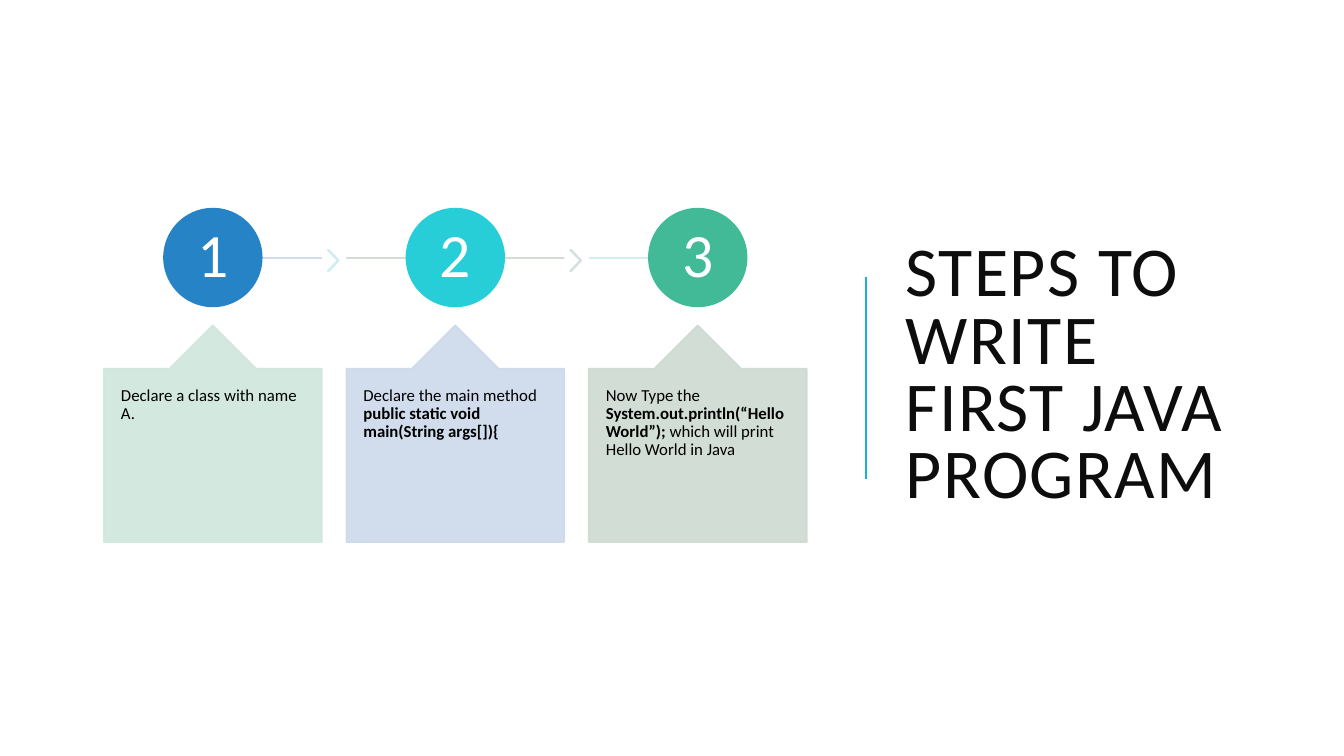
from dataclasses import dataclass

from lxml import etree
from pptx import Presentation
from pptx.dml.color import RGBColor
from pptx.enum.shapes import MSO_CONNECTOR, MSO_SHAPE
from pptx.enum.text import MSO_ANCHOR, PP_ALIGN
from pptx.oxml.ns import qn
from pptx.shapes.autoshape import Shape
from pptx.shapes.connector import Connector
from pptx.slide import Slide
from pptx.text.text import TextFrame
from pptx.util import Cm, Pt

CHEVRON = MSO_SHAPE.CHEVRON
CIRCLE = MSO_SHAPE.OVAL
CALLOUT = MSO_SHAPE.UP_ARROW_CALLOUT
STRAIGHT = MSO_CONNECTOR.STRAIGHT
TOP, MIDDLE = MSO_ANCHOR.TOP, MSO_ANCHOR.MIDDLE
LEFT, CENTER = PP_ALIGN.LEFT, PP_ALIGN.CENTER


@dataclass(frozen=True)
class Theme:
    font: str = "Calibri"
    title_size: float = 50
    number_size: float = 44
    body_size: float = 12
    title_ink: str = "0D0D0D"
    body_ink: str = "000000"
    number_ink: str = "FFFFFF"
    accent: str = "1CADE4"
    tint_opacity: int = 90
    outline: float = 1.25
    divider: float = 1.5


@dataclass(frozen=True)
class Span:
    text: str
    bold: bool = False


@dataclass(frozen=True)
class Box:
    """Position and size in centimetres."""
    left: float
    top: float
    width: float
    height: float


@dataclass(frozen=True)
class Step:
    circle: str
    callout: str
    track: str
    chevron: str | None
    spans: tuple[Span, ...]


THEME = Theme()
FIRST_LEFT, PITCH, COLUMN_WIDTH = 2.62, 6.11, 5.49
CIRCLE_TOP, CIRCLE_SIZE = 5.26, 2.46
TRACK_Y = 6.5
CALLOUT_TOP, CALLOUT_HEIGHT = 8.2, 5.46
CHEVRON_OFFSET = 5.64

STEPS = (
    Step("2683C6", "CFE7DD", "CDD9EA", "CDEDF0",
         (Span("Declare a class with name A."),)),
    Step("27CED7", "CDD9EA", "CEDAD1", "D3E0DF",
         (Span("Declare the main method "),
          Span("public static void main(String args[]){", True))),
    Step("42BA97", "CEDAD1", "CDEDF0", None,
         (Span("Now Type the "),
          Span("System.out.println(“Hello World”);", True),
          Span(" which will print Hello World in Java"))),
)


def set_opacity(shape: Shape | Connector, percent: int) -> None:
    """Apply one opacity to every solid colour of the shape's fill and line."""
    for color in shape._element.spPr.iter(qn("a:srgbClr")):
        etree.SubElement(color, qn("a:alpha"), val=str(percent * 1000))


def add_filled(page: Slide, kind: MSO_SHAPE, box: Box, color: str,
               opacity: int = 100, adjustments: tuple[float, ...] = ()) -> Shape:
    shape = page.shapes.add_shape(kind, Cm(box.left), Cm(box.top),
                                  Cm(box.width), Cm(box.height))
    shape.shadow.inherit = False
    for index, value in enumerate(adjustments):
        shape.adjustments[index] = value
    shape.fill.solid()
    shape.fill.fore_color.rgb = RGBColor.from_string(color)
    shape.line.color.rgb = RGBColor.from_string(color)
    shape.line.width = Pt(THEME.outline)
    if opacity < 100:
        set_opacity(shape, opacity)
    return shape


def add_line(page: Slide, start: tuple[float, float], end: tuple[float, float],
             color: str, width: float) -> Connector:
    line = page.shapes.add_connector(STRAIGHT, Cm(start[0]), Cm(start[1]),
                                     Cm(end[0]), Cm(end[1]))
    line.line.color.rgb = RGBColor.from_string(color)
    line.line.width = Pt(width)
    etree.SubElement(line._element.spPr, qn("a:effectLst"))
    return line


def write(frame: TextFrame, spans: tuple[Span, ...], size: float, color: str,
          margins: tuple[float, float], anchor: MSO_ANCHOR = TOP,
          align: PP_ALIGN = LEFT, line_spacing: float = 0.9,
          tracking: float = 0) -> None:
    """Fill a frame; margins are horizontal and vertical, tracking is in points."""
    frame.word_wrap = True
    frame.vertical_anchor = anchor
    frame.margin_left = frame.margin_right = Cm(margins[0])
    frame.margin_top = frame.margin_bottom = Cm(margins[1])
    para = frame.paragraphs[0]
    para.alignment = align
    para.line_spacing = line_spacing
    for span in spans:
        run = para.add_run()
        run.text = span.text
        run.font.name = THEME.font
        run.font.size = Pt(size)
        run.font.bold = span.bold
        run.font.color.rgb = RGBColor.from_string(color)
        if tracking:
            run.font._element.set("spc", str(round(tracking * 100)))


def add_step(page: Slide, index: int, step: Step) -> None:
    left = FIRST_LEFT + index * PITCH
    center = left + COLUMN_WIDTH / 2
    track_start = center if index == 0 else left
    track_end = center if index == len(STEPS) - 1 else left + COLUMN_WIDTH
    track = add_line(page, (track_start, TRACK_Y), (track_end, TRACK_Y),
                     step.track, THEME.outline)
    set_opacity(track, THEME.tint_opacity)
    if step.chevron:
        add_filled(page, CHEVRON, Box(left + CHEVRON_OFFSET, 6.3, 0.28, 0.53),
                   step.chevron, THEME.tint_opacity, (0.9,))
    circle = add_filled(page, CIRCLE, Box(center - CIRCLE_SIZE / 2, CIRCLE_TOP,
                                          CIRCLE_SIZE, CIRCLE_SIZE), step.circle)
    write(circle.text_frame, (Span(str(index + 1)),), THEME.number_size,
          THEME.number_ink, (0.1, 0.1), MIDDLE, CENTER)
    callout = add_filled(page, CALLOUT, Box(left, CALLOUT_TOP, COLUMN_WIDTH,
                                            CALLOUT_HEIGHT),
                         step.callout, THEME.tint_opacity, (0.5, 0.2, 0.2, 1))
    write(callout.text_frame, step.spans, THEME.body_size, THEME.body_ink,
          (0.43, 0.45))


def add_title(page: Slide) -> None:
    title = page.shapes.add_textbox(Cm(22.58), Cm(1.78), Cm(9.65), Cm(15.47))
    write(title.text_frame, (Span("STEPS TO WRITE FIRST JAVA PROGRAM"),),
          THEME.title_size, THEME.title_ink, (0.25, 0.13), MIDDLE,
          line_spacing=0.8, tracking=1)


def main() -> None:
    deck = Presentation()
    deck.slide_width, deck.slide_height = Cm(33.87), Cm(19.05)
    page = deck.slides.add_slide(deck.slide_layouts[6])
    add_title(page)
    add_line(page, (21.82, 12.07), (21.82, 6.99), THEME.accent, THEME.divider)
    for index, step in enumerate(STEPS):
        add_step(page, index, step)
    deck.save("out.pptx")


if __name__ == "__main__":
    main()
